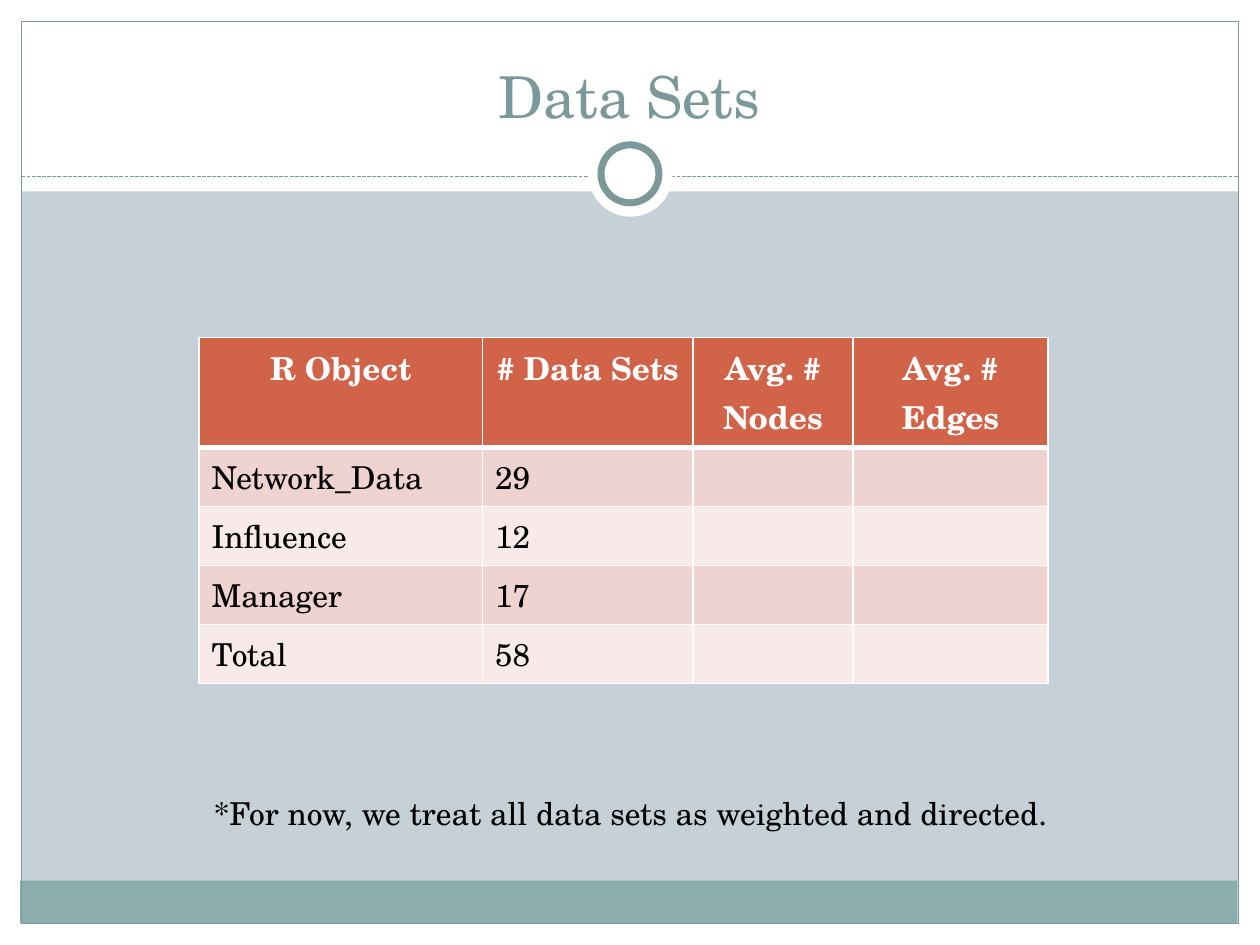
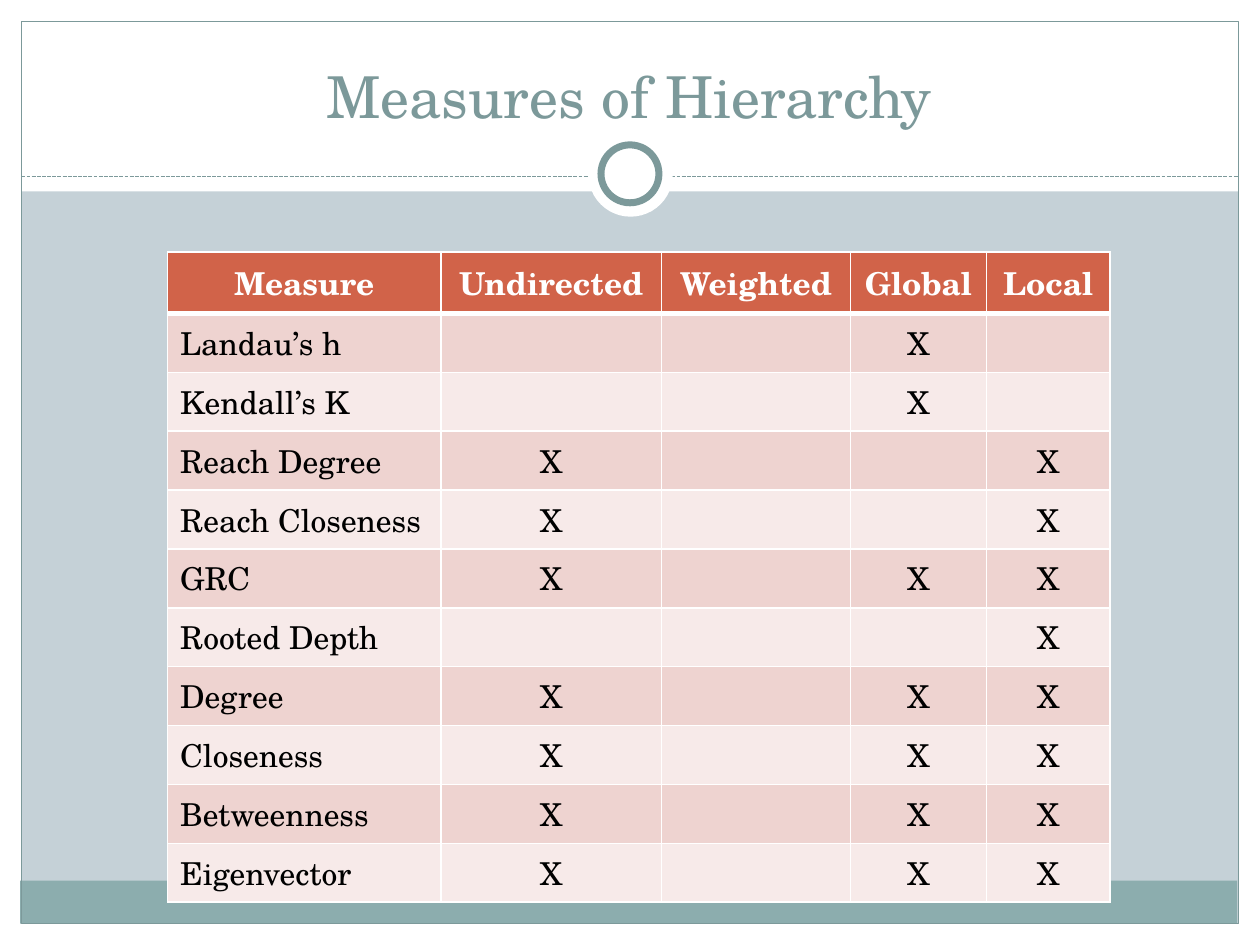
import lxml.etree
import pptx
import pptx.dml.color
import pptx.enum.dml
import pptx.enum.shapes
import pptx.enum.text
import pptx.oxml
import pptx.oxml.ns
import pptx.util

Inches = pptx.util.Inches
Pt = pptx.util.Pt
SHAPE = pptx.enum.shapes.MSO_SHAPE
CENTER = pptx.enum.text.PP_ALIGN.CENTER
LEFT = pptx.enum.text.PP_ALIGN.LEFT

COLORS = {
    "background": "C5D1D7",
    "white": "FFFFFF",
    "black": "000000",
    "frame": "7C999A",
    "footer": "8CADAE",
    "header": "D16349",
    "odd row": "EED3D0",
    "even row": "F7EAE9",
}
FONT = "TeX Gyre Schola"
FORMATS = {
    "title": {"size": Pt(33), "bold": False, "color": "frame"},
    "header": {"size": Pt(18), "bold": True, "color": "white"},
    "body": {"size": Pt(18), "bold": False, "color": "black"},
}


def rgb(name):
    return pptx.dml.color.RGBColor.from_string(COLORS[name])


def write(text_frame, text, style, alignment):
    """Put text in the frame's first paragraph, in one of FORMATS."""
    paragraph = text_frame.paragraphs[0]
    paragraph.alignment = alignment
    run = paragraph.add_run()
    run.text = text
    run.font.name = FONT
    for attribute, value in FORMATS[style].items():
        if attribute == "color":
            run.font.color.rgb = rgb(value)
        else:
            setattr(run.font, attribute, value)


slide_contents = [
    {
        "title": "Data Sets",
        "position": (1.58, 2.68),
        "columns": [2.25, 1.67, 1.27, 1.55],
        "header height": 0.32,
        "rows": [
            ["R Object", "# Data Sets", "Avg. # Nodes", "Avg. # Edges"],
            ["Network_Data", "29", "", ""],
            ["Influence", "12", "", ""],
            ["Manager", "17", "", ""],
            ["Total", "58", "", ""],
        ],
        "footnote": "*For now, we treat all data sets as weighted and directed.",
    },
    {
        "title": "Measures of Hierarchy",
        "position": (1.33, 2),
        "columns": [2.17, 1.75, 1.5, 1.08, 0.98],
        "header height": 0.41,
        "rows": [
            ["Measure", "Undirected", "Weighted", "Global", "Local"],
            ["Landau’s h", "", "", "X", ""],
            ["Kendall’s K", "", "", "X", ""],
            ["Reach Degree", "X", "", "", "X"],
            ["Reach Closeness", "X", "", "", "X"],
            ["GRC", "X", "", "X", "X"],
            ["Rooted Depth", "", "", "", "X"],
            ["Degree", "X", "", "X", "X"],
            ["Closeness", "X", "", "X", "X"],
            ["Betweenness", "X", "", "X", "X"],
            ["Eigenvector", "X", "", "X", "X"],
        ],
    },
]
ROW_HEIGHT = 0.41

presentation = pptx.Presentation()
presentation.slide_width = Inches(10)
presentation.slide_height = Inches(7.5)
layout = presentation.slide_layouts.get_by_name("Title Only")
layout.background.fill.solid()
layout.background.fill.fore_color.rgb = rgb("background")
slides = [presentation.slides.add_slide(layout) for content in slide_contents]

# Shared frame: drawn on the first slide, then moved into the layout
drawing = slides[0].shapes
frame_parts = []
for preset, box, fill, line_width in [
    (SHAPE.RECTANGLE, (0, 7.33, 10, 0.17), "white", None),
    (SHAPE.RECTANGLE, (0, 0, 10, 1.52), "white", None),
    (SHAPE.RECTANGLE, (0, 0, 0.17, 7.5), "white", None),
    (SHAPE.RECTANGLE, (9.83, 0, 0.17, 7.5), "white", None),
    (SHAPE.RECTANGLE, (0.16, 6.99, 9.66, 0.34), "footer", None),
    (SHAPE.RECTANGLE, (0.17, 0.17, 9.66, 7.16), None, 0.75),
    (SHAPE.OVAL, (4.67, 1.05, 0.67, 0.67), "white", None),
    (SHAPE.OVAL, (4.77, 1.15, 0.46, 0.46), "white", 4),
]:
    shape = drawing.add_shape(preset, *map(Inches, box))
    shape.shadow.inherit = False
    if fill:
        shape.fill.solid()
        shape.fill.fore_color.rgb = rgb(fill)
    else:
        shape.fill.background()
    if line_width:
        shape.line.color.rgb = rgb("frame")
        shape.line.width = Pt(line_width)
    else:
        shape.line.fill.background()
    frame_parts.append(shape)

divider = drawing.add_connector(
    pptx.enum.shapes.MSO_CONNECTOR.STRAIGHT,
    Inches(0.17), Inches(1.4), Inches(9.83), Inches(1.4),
)
divider.line.color.rgb = rgb("frame")
divider.line.width = Pt(0.75)
divider.line.dash_style = pptx.enum.dml.MSO_LINE.SQUARE_DOT
lxml.etree.SubElement(divider.element.spPr, pptx.oxml.ns.qn("a:effectLst"))
frame_parts.insert(-2, divider)  # the two circles lie over the divider

for number, part in enumerate(frame_parts, start=101):
    part.element.xpath(".//p:cNvPr")[0].set("id", str(number))
    layout.shapes.element.append(part.element)

for slide, content in zip(slides, slide_contents):
    title = slide.shapes.title
    for attribute, value in {"left": 0.33, "top": 0.25, "width": 9.33, "height": 0.83}.items():
        setattr(title, attribute, Inches(value))
    title.text_frame.vertical_anchor = pptx.enum.text.MSO_ANCHOR.BOTTOM
    title.text_frame.auto_size = pptx.enum.text.MSO_AUTO_SIZE.NONE
    write(title.text_frame, content["title"], "title", CENTER)

    rows = content["rows"]
    widths = content["columns"]
    heights = [content["header height"]] + [ROW_HEIGHT] * (len(rows) - 1)
    left, top = content["position"]
    table = slide.shapes.add_table(
        len(rows), len(widths),
        Inches(left), Inches(top), Inches(sum(widths)), Inches(sum(heights)),
    ).table
    for column, width in zip(table.columns, widths):
        column.width = Inches(width)
    for row_index, (row, height) in enumerate(zip(rows, heights)):
        table.rows[row_index].height = Inches(height)
        is_header = row_index == 0
        fill = "header" if is_header else "odd row" if row_index % 2 else "even row"
        borders = {
            "lnL": 1,
            "lnR": 1,
            "lnT": 3 if row_index == 1 else 1,
            "lnB": 3 if is_header else 1,
        }
        for column_index, text in enumerate(row):
            cell = table.cell(row_index, column_index)
            properties = cell._tc.get_or_add_tcPr()
            for tag, points in borders.items():
                properties.append(pptx.oxml.parse_xml(
                    f'<a:{tag} {pptx.oxml.ns.nsdecls("a")} w="{Pt(points)}"><a:solidFill>'
                    f'<a:srgbClr val="{COLORS["white"]}"/></a:solidFill></a:{tag}>'
                ))
            cell.fill.solid()
            cell.fill.fore_color.rgb = rgb(fill)
            if text:
                alignment = CENTER if is_header or text == "X" else LEFT
                write(cell.text_frame, text, "header" if is_header else "body", alignment)

    if "footnote" in content:
        footnote = slide.shapes.add_textbox(Inches(0.17), Inches(6.25), Inches(9.67), Inches(0.4))
        footnote.text_frame.word_wrap = True
        footnote.text_frame.auto_size = pptx.enum.text.MSO_AUTO_SIZE.SHAPE_TO_FIT_TEXT
        write(footnote.text_frame, content["footnote"], "body", CENTER)

presentation.save("out.pptx")
